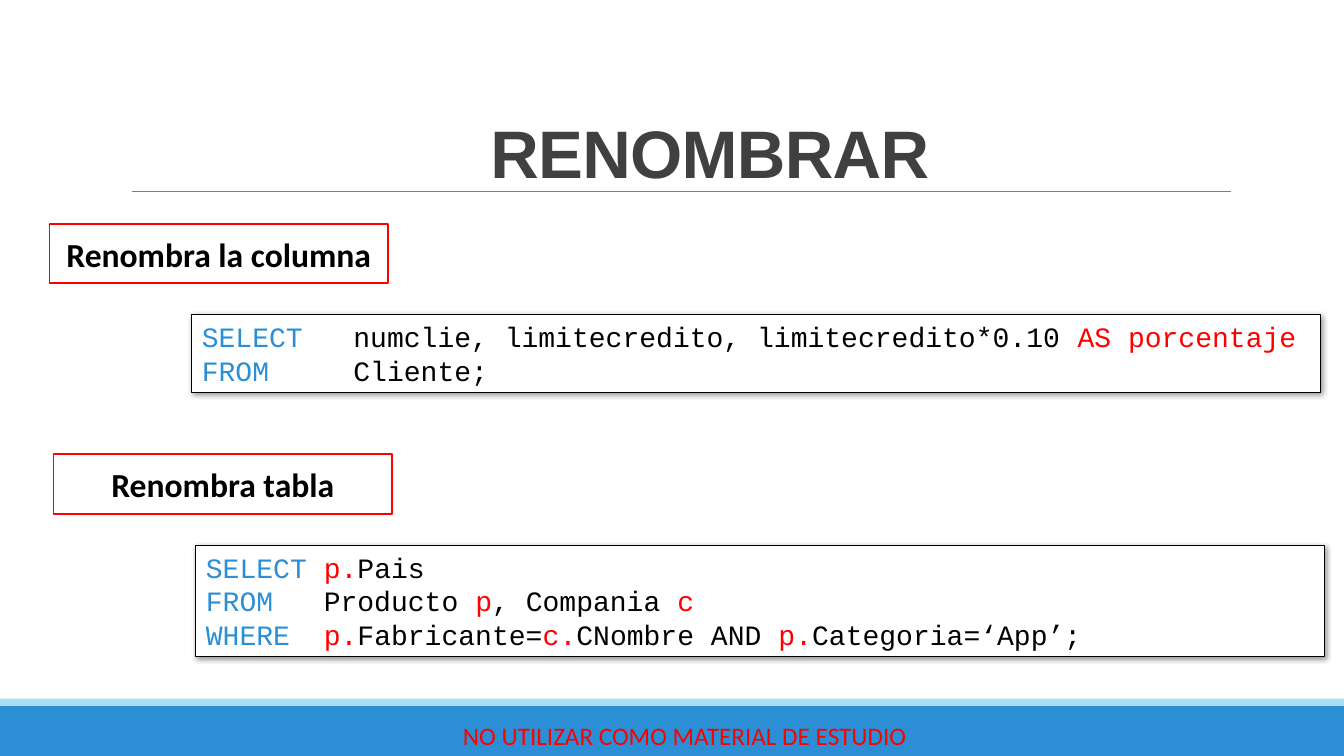
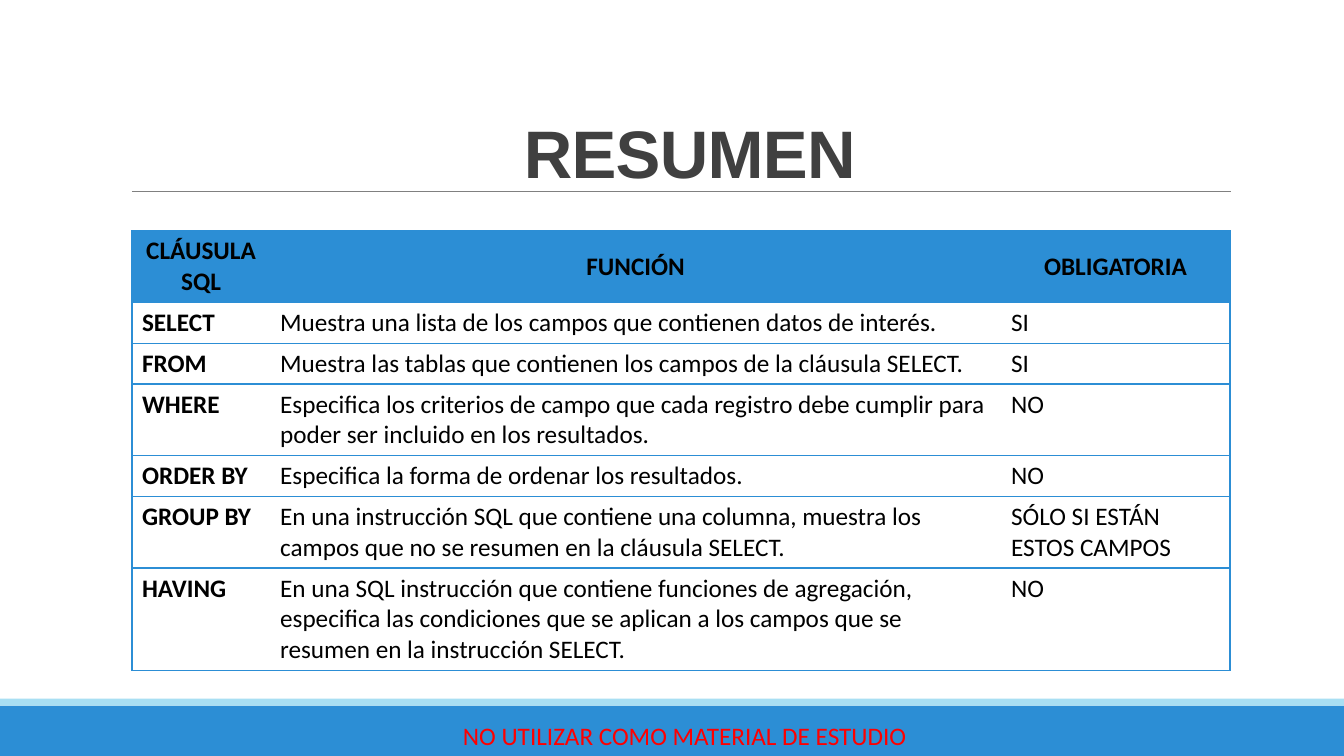
import pptx
import pptx.dml.color
import pptx.enum.shapes
import pptx.enum.text
import pptx.oxml
import pptx.oxml.ns
import pptx.util
from collections import namedtuple

RGBColor = pptx.dml.color.RGBColor
BLUE = RGBColor(0x2C, 0x8E, 0xD5)
PALE_BLUE = RGBColor(0xA8, 0xDF, 0xF3)
GRAY = RGBColor(0x80, 0x80, 0x80)
DARK_GRAY = RGBColor(0x40, 0x40, 0x40)
RED = RGBColor(0xFF, 0x00, 0x00)
BLACK = RGBColor(0x00, 0x00, 0x00)
WHITE = RGBColor(0xFF, 0xFF, 0xFF)

SLIDE_WIDTH = pptx.util.Inches(13.33)
SLIDE_HEIGHT = pptx.util.Inches(7.5)
CENTER = pptx.enum.text.PP_ALIGN.CENTER
LEFT = pptx.enum.text.PP_ALIGN.LEFT
MIDDLE = pptx.enum.text.MSO_ANCHOR.MIDDLE
TOP = pptx.enum.text.MSO_ANCHOR.TOP

Box = namedtuple("Box", "left top width height")
BAND = Box(0, 93.33, 100, 6.67)
STRIP = Box(0, 92.4, 100, 0.93)
FOOTER = Box(31.2, 94.67, 39.5, 5.33)
RULE = Box(9.82, 25.33, 81.75, 0)
RENAME_TITLE = Box(10.28, 4.93, 85.05, 21.2)
SUMMARY_TITLE = Box(9.98, 2.67, 82.67, 23.47)
COLUMN_SECTION = Box(3.68, 29.6, 94.6, 22.3)
TABLE_SECTION = Box(3.98, 60.1, 94.6, 26.8)
SUMMARY_TABLE = Box(9.82, 30.53, 81.7, 58.2)

COLUMN_CODE = [
    [("SELECT   ", BLUE), ("numclie, limitecredito, limitecredito*0.10 ", BLACK),
     ("AS porcentaje", RED)],
    [("FROM     ", BLUE), ("Cliente;", BLACK)],
]
TABLE_CODE = [
    [("SELECT ", BLUE), ("p.", RED), ("Pais", BLACK)],
    [("FROM   ", BLUE), ("Producto ", BLACK), ("p", RED), (", Compania ", BLACK), ("c", RED)],
    [("WHERE  ", BLUE), ("p.", RED), ("Fabricante=", BLACK), ("c.", RED),
     ("CNombre AND ", BLACK), ("p.", RED), ("Categoria=‘App’;", BLACK)],
]
COLUMN_SHARES = [12.58, 66.57, 20.85]
ROW_LINES = [2, 1, 1, 2, 1, 2, 3]
SUMMARY_ROWS = [
    ("CLÁUSULA SQL", "FUNCIÓN", "OBLIGATORIA"),
    ("SELECT", "Muestra una lista de los campos que contienen datos de interés.", "SI"),
    ("FROM", "Muestra las tablas que contienen los campos de la cláusula SELECT.", "SI"),
    ("WHERE", "Especifica los criterios de campo que cada registro debe cumplir para "
     "poder ser incluido en los resultados.", "NO"),
    ("ORDER BY", "Especifica la forma de ordenar los resultados.", "NO"),
    ("GROUP BY", "En una instrucción SQL que contiene una columna, muestra los campos "
     "que no se resumen en la cláusula SELECT.", "SÓLO SI ESTÁN ESTOS CAMPOS"),
    ("HAVING", "En una SQL instrucción que contiene funciones de agregación, especifica "
     "las condiciones que se aplican a los campos que se resumen en la instrucción SELECT.",
     "NO"),
]


def across(share):
    """Return a percentage of the slide width."""
    return round(SLIDE_WIDTH * share / 100)


def down(share):
    """Return a percentage of the slide height."""
    return round(SLIDE_HEIGHT * share / 100)


def lengths(box):
    """Return left, top, width and height of a box of slide shares."""
    return across(box.left), down(box.top), across(box.width), down(box.height)


def format_paragraph(paragraph, size, color=None, name="Calibri", bold=False, alignment=LEFT):
    """Set the alignment and font of a whole paragraph."""
    paragraph.alignment = alignment
    font = paragraph.font
    font.size, font.name, font.bold = pptx.util.Pt(size), name, bold
    if color is not None:
        font.color.rgb = color


def add_rectangle(slide, box, fill, line=None, line_width=1):
    """Add a flat rectangle, outlined when a line colour is given."""
    shape = slide.shapes.add_shape(pptx.enum.shapes.MSO_SHAPE.RECTANGLE, *lengths(box))
    shape.fill.solid()
    shape.fill.fore_color.rgb = fill
    if line is None:
        shape.line.fill.background()
    else:
        shape.line.color.rgb = line
        shape.line.width = pptx.util.Pt(line_width)
    shape.shadow.inherit = False
    return shape


def add_frame(slide):
    """Add the bottom bands, the footer and the rule under the title."""
    add_rectangle(slide, BAND, BLUE)
    add_rectangle(slide, STRIP, PALE_BLUE)
    left, top, width, height = lengths(RULE)
    rule = slide.shapes.add_connector(
        pptx.enum.shapes.MSO_CONNECTOR.STRAIGHT, left, top, left + width, top + height)
    rule.line.color.rgb = GRAY
    rule.line.width = pptx.util.Pt(0.5)
    rule.element.spPr.append(pptx.oxml.parse_xml(
        f'<a:effectLst {pptx.oxml.ns.nsdecls("a")}/>'))
    frame = slide.shapes.add_textbox(*lengths(FOOTER)).text_frame
    frame.word_wrap = True
    frame.vertical_anchor = MIDDLE
    frame.text = "NO UTILIZAR COMO MATERIAL DE ESTUDIO"
    format_paragraph(frame.paragraphs[0], 18, RED, alignment=CENTER)


def add_slide(presentation, title, box):
    """Add a slide with the shared frame and a title in its box."""
    slide = presentation.slides.add_slide(presentation.slide_layouts[5])
    add_frame(slide)
    shape = slide.shapes.title
    shape.left, shape.top, shape.width, shape.height = lengths(box)
    frame = shape.text_frame
    frame.text = title
    frame.auto_size = pptx.enum.text.MSO_AUTO_SIZE.NONE
    frame.vertical_anchor = pptx.enum.text.MSO_ANCHOR.BOTTOM
    paragraph = frame.paragraphs[0]
    format_paragraph(paragraph, 48, DARK_GRAY, "Arial", True, CENTER)
    paragraph.line_spacing = 0.85
    paragraph.runs[0].font._element.set("spc", "-50")
    return slide


def add_shadow(shape):
    """Give a shape a soft shadow towards the lower right."""
    effects = shape.element.spPr.find(pptx.oxml.ns.qn("a:effectLst"))
    effects.append(pptx.oxml.parse_xml(
        f'<a:outerShdw {pptx.oxml.ns.nsdecls("a")} blurRad="50800" dist="12700" '
        'dir="2700000" algn="tl" rotWithShape="0"><a:srgbClr val="000000">'
        '<a:alpha val="40000"/></a:srgbClr></a:outerShdw>'))


def add_code_section(slide, box, label, code):
    """Add a red label at the top left of the box and code at its lower right."""
    label_box = Box(box.left, box.top, 25.2, 7.87)
    frame = add_rectangle(slide, label_box, WHITE, RED, 1.25).text_frame
    frame.vertical_anchor = MIDDLE
    frame.text = label
    format_paragraph(frame.paragraphs[0], 24, BLACK, bold=True, alignment=CENTER)

    code_box = Box(box.left + box.width - 84, box.top + 12, 84, box.height - 12)
    shape = add_rectangle(slide, code_box, WHITE, BLACK, 0.75)
    add_shadow(shape)
    frame = shape.text_frame
    frame.word_wrap = True
    frame.vertical_anchor = TOP
    for index, line in enumerate(code):
        paragraph = frame.add_paragraph() if index else frame.paragraphs[0]
        format_paragraph(paragraph, 20, name="Courier New")
        for text, color in line:
            run = paragraph.add_run()
            run.text = text
            run.font.color.rgb = color


def set_borders(cell, visible_sides):
    """Draw blue borders on the visible sides and clear the others."""
    properties = cell._tc.get_or_add_tcPr()
    for side in "LRTB":
        fill = (f'<a:solidFill><a:srgbClr val="{BLUE}"/></a:solidFill>'
                if side in visible_sides else "<a:noFill/>")
        properties.append(pptx.oxml.parse_xml(
            f'<a:ln{side} {pptx.oxml.ns.nsdecls("a")} w="12700">{fill}</a:ln{side}>'))


def add_summary_table(slide, box):
    """Add the table of clauses, with row heights set by their line counts."""
    table = slide.shapes.add_table(
        len(SUMMARY_ROWS), len(COLUMN_SHARES), *lengths(box)).table
    table.first_row = table.horz_banding = False
    for column, share in zip(table.columns, COLUMN_SHARES):
        column.width = across(box.width * share / 100)
    for row, line_count in zip(table.rows, ROW_LINES):
        row.height = down(1.33 + 4.07 * line_count)
    last_column = len(COLUMN_SHARES) - 1
    for row_index, texts in enumerate(SUMMARY_ROWS):
        is_header = row_index == 0
        for column_index, text in enumerate(texts):
            cell = table.cell(row_index, column_index)
            set_borders(cell, "TB" + {0: "L", last_column: "R"}.get(column_index, ""))
            cell.fill.solid()
            cell.fill.fore_color.rgb = BLUE if is_header else WHITE
            cell.vertical_anchor = MIDDLE if is_header else TOP
            cell.text = text
            format_paragraph(cell.text_frame.paragraphs[0], 18, BLACK,
                             bold=is_header or column_index == 0,
                             alignment=CENTER if is_header else LEFT)


def main():
    """Build and save the presentation."""
    presentation = pptx.Presentation()
    presentation.slide_width = SLIDE_WIDTH
    presentation.slide_height = SLIDE_HEIGHT
    slide = add_slide(presentation, "RENOMBRAR", RENAME_TITLE)
    add_code_section(slide, COLUMN_SECTION, "Renombra la columna", COLUMN_CODE)
    add_code_section(slide, TABLE_SECTION, "Renombra tabla", TABLE_CODE)
    slide = add_slide(presentation, "RESUMEN", SUMMARY_TITLE)
    add_summary_table(slide, SUMMARY_TABLE)
    presentation.save("out.pptx")


if __name__ == "__main__":
    main()
